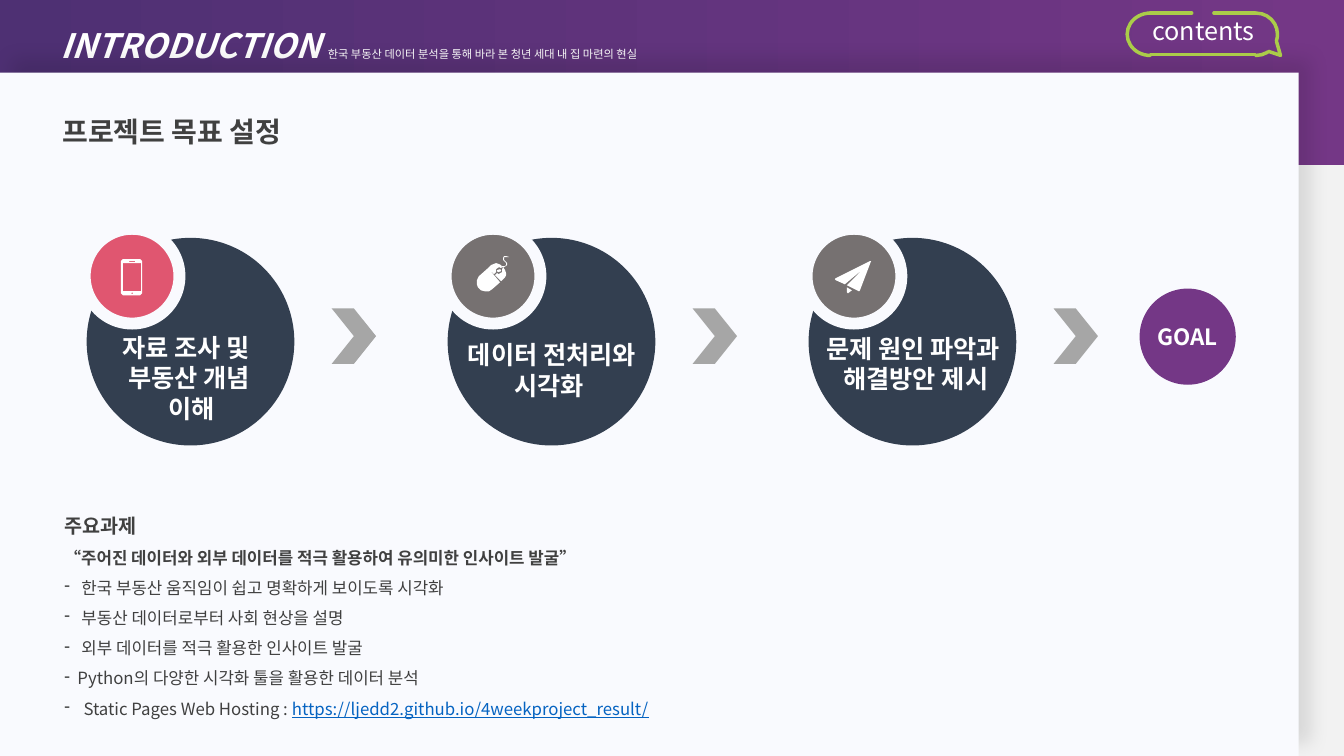
"""Build the project goal slide with its three-step process."""
from dataclasses import dataclass

import pptx
import pptx.dml.color
import pptx.enum.shapes
import pptx.enum.text
import pptx.oxml
import pptx.oxml.ns
import pptx.util
from lxml import etree

PX = 9144
MSO = pptx.enum.shapes.MSO_SHAPE
ALIGN = pptx.enum.text.PP_ALIGN
qn = pptx.oxml.ns.qn


@dataclass(frozen=True)
class Theme:
    font: str = "Noto Sans CJK KR"
    back: str = "F2F2F2"
    panel: str = "F9FAFE"
    indigo: str = "4E3073"
    purple: str = "743786"
    lime: str = "ABCC49"
    navy: str = "333F50"
    rose: str = "E05670"
    taupe: str = "767171"
    arrow: str = "A6A6A6"
    white: str = "FFFFFF"
    ink: str = "404040"
    link: str = "0563C1"
    title: int = 24
    heading: int = 20
    step: int = 18
    goal: int = 16
    subhead: int = 14
    body: int = 12
    note: int = 8


T = Theme()


@dataclass(frozen=True)
class Run:
    text: str
    size: int
    color: str = T.ink
    bold: bool = False
    italic: bool = False
    underline: bool = False


@dataclass(frozen=True)
class Para:
    runs: tuple[Run, ...]
    hang: int = 0


@dataclass(frozen=True)
class Step:
    lines: tuple[str, ...]
    text_left: int
    text_top: int
    dot: str
    icon: tuple[tuple[tuple[int, int], ...], ...]


PHONE = (
    ((38, 30), (55, 30), (57, 32), (57, 64), (55, 66), (38, 66), (36, 64), (36, 32)),
    ((38, 34), (56, 34), (56, 62), (38, 62)),
    ((44, 32), (50, 32), (50, 33), (44, 33)),
    ((47, 63), (48, 64), (47, 65), (46, 64)),
)
MOUSE = (
    ((42, 39), (54, 53), (46, 60), (43, 62), (39, 62), (35, 61), (32, 58), (31, 55),
     (31, 51), (33, 47)),
    ((57, 38), (59, 41), (60, 44), (60, 46), (59, 48), (57, 50), (55, 52), (49, 46),
     (51, 44), (53, 45), (54, 44), (56, 43), (56, 40)),
    ((50, 34), (53, 35), (55, 36), (56, 38), (55, 39), (53, 38), (50, 40), (50, 43),
     (48, 45), (42, 39), (45, 36)),
    ((54, 40), (55, 41), (55, 42), (52, 43), (51, 42), (51, 41)),
    ((63, 28), (60, 27), (58, 27), (57, 29), (57, 31), (60, 34), (60, 36), (59, 37),
     (56, 37), (56, 38), (58, 38), (61, 36), (61, 34), (58, 31), (58, 28), (60, 28)),
)
PLANE = (
    ((40, 58), (45, 61), (41, 64), (40, 63)),
    ((64, 32), (53, 61), (52, 62), (40, 56), (56, 40), (38, 55), (29, 51), (28, 50),
     (29, 49), (63, 32)),
)
STEPS = (
    Step(("자료 조사 및 ", "부동산 개념", " 이해"), 76, 325, T.rose, PHONE),
    Step(("데이터 전처리와", "시각화 "), 436, 332, T.taupe, MOUSE),
    Step(("문제 원인 파악과", " 해결방안 제시"), 794, 326, T.taupe, PLANE),
)
STEP_PITCH = 358
TASKS = (
    Para((Run("주요과제", T.subhead, bold=True),)),
    Para((Run("“주어진 데이터와 외부 데이터를 적극 활용하여 유의미한 인사이트 발굴”", T.body, bold=True),)),
    Para((Run("한국 부동산 움직임이 쉽고 명확하게 보이도록 시각화", T.body),), 17),
    Para((Run("부동산 데이터로부터 사회 현상을 설명", T.body),), 17),
    Para((Run("외부 데이터를 적극 활용한 인사이트 발굴", T.body),), 17),
    Para((Run("Python의 다양한 시각화 툴을 활용한 데이터 분석", T.body),), 13),
    Para((Run("Static Pages Web Hosting : ", T.body),
          Run("https://ljedd2.github.io/4weekproject_result/", T.body, T.link, underline=True)), 19),
)


def rgb(color: str) -> pptx.dml.color.RGBColor:
    return pptx.dml.color.RGBColor.from_string(color)


def paint(sp, fill: str | None = None, line: str | None = None, width: float = 1) -> None:
    sp.shadow.inherit = False
    if fill:
        sp.fill.solid()
        sp.fill.fore_color.rgb = rgb(fill)
    else:
        sp.fill.background()
    stroke(sp, line, width)


def stroke(sp, line: str | None, width: float) -> None:
    if line:
        sp.line.color.rgb = rgb(line)
        sp.line.width = pptx.util.Pt(width)
        sp.element.spPr.find(qn("a:ln")).set("cap", "rnd")
    else:
        sp.line.fill.background()


def add_shape(s, kind, box: tuple[int, ...], fill: str | None = None,
              line: str | None = None, width: float = 1, adj: tuple[float, ...] = ()):
    sp = s.shapes.add_shape(kind, *(v * PX for v in box))
    paint(sp, fill, line, width)
    for i, value in enumerate(adj):
        sp.adjustments[i] = value
    return sp


def add_outline(s, contours, left: int, top: int, closed: bool = True):
    moved = [[(left + x, top + y) for x, y in c] for c in contours]
    fb = s.shapes.build_freeform(*moved[0][0], scale=PX)
    for i, pts in enumerate(moved):
        if i:
            fb.move_to(*pts[0])
        fb.add_line_segments(pts[1:], close=closed)
    return fb.convert_to_shape()


def write(tf, paras: tuple[Para, ...], align=ALIGN.LEFT, spacing: float = 1.0) -> None:
    for i, para in enumerate(paras):
        p = tf.paragraphs[0] if i == 0 else tf.add_paragraph()
        p.alignment, p.line_spacing = align, spacing
        if para.hang:
            pPr = p._p.get_or_add_pPr()
            pPr.set("marL", str(para.hang * PX))
            pPr.set("indent", str(-para.hang * PX))
            etree.SubElement(pPr, qn("a:buChar")).set("char", "-")
        for run in para.runs:
            r = p.add_run()
            r.text = run.text
            fmt = {"name": T.font, "size": pptx.util.Pt(run.size), "bold": run.bold,
                   "italic": run.italic, "underline": run.underline}
            for key, value in fmt.items():
                setattr(r.font, key, value)
            r.font.color.rgb = rgb(run.color)
            etree.SubElement(r._r.get_or_add_rPr(), qn("a:ea")).set("typeface", T.font)


def add_text(s, box: tuple[int, ...], paras: tuple[Para, ...], align=ALIGN.LEFT,
             spacing: float = 1.0) -> None:
    tf = s.shapes.add_textbox(*(v * PX for v in box)).text_frame
    tf.word_wrap = True
    tf.auto_size = pptx.enum.text.MSO_AUTO_SIZE.SHAPE_TO_FIT_TEXT
    write(tf, paras, align, spacing)


def draw_frame(s) -> None:
    header = add_shape(s, MSO.RECTANGLE, (0, 0, 1333, 164), T.indigo)
    header.fill.gradient()
    header.fill.gradient_angle = 0
    for stop, color in zip(header.fill.gradient_stops, (T.indigo, T.purple)):
        stop.color.rgb = rgb(color)
    tf = header.text_frame
    tf.vertical_anchor = pptx.enum.text.MSO_ANCHOR.TOP
    write(tf, (Para((Run("INTRODUCTION ", T.title, T.white, bold=True, italic=True),
                     Run("한국 부동산 데이터 분석을 통해 바라 본 청년 세대 내 집 마련의 현실", T.note, T.white))),),
          spacing=1.5)
    tf.paragraphs[0]._p.get_or_add_pPr().set("marL", str(50 * PX))
    panel = add_shape(s, MSO.RECTANGLE, (0, 72, 1288, 678), T.panel)
    effects = panel.element.spPr.find(qn("a:effectLst"))
    shadow = etree.SubElement(effects, qn("a:outerShdw"), blurRad="165100", dist="165100",
                              dir="18900000", algn="bl", rotWithShape="0")
    black = etree.SubElement(shadow, qn("a:srgbClr"), val="000000")
    etree.SubElement(black, qn("a:alpha"), val="11000")


def draw_bubble(s) -> None:
    add_shape(s, MSO.LEFT_BRACKET, (1118, 13, 23, 42), None, T.lime, 2.5, (0.92,))
    for adj in ((97.02, 162.08), (52.96, 73.55)):
        arc = add_shape(s, MSO.ARC, (1225, 13, 42, 42), None, T.lime, 2.5, adj)
        arc.element.spPr.get_or_add_xfrm().set("flipH", "1")
    for x1, x2, y in ((1141, 1245, 54), (1141, 1182, 13), (1204, 1245, 13)):
        cn = s.shapes.add_connector(pptx.enum.shapes.MSO_CONNECTOR.STRAIGHT,
                                    x1 * PX, y * PX, x2 * PX, y * PX)
        stroke(cn, T.lime, 2.5)
        etree.SubElement(cn.element.spPr, qn("a:effectLst"))
    paint(add_outline(s, (((8, 0), (12, 14), (0, 10)),), 1258, 41, False), None, T.lime, 2.5)
    add_text(s, (1131, 10, 125, 40), (Para((Run("contents", T.step, T.white),)),), ALIGN.CENTER)


def draw_steps(s) -> None:
    for i, step in enumerate(STEPS):
        x = i * STEP_PITCH
        add_shape(s, MSO.OVAL, (86 + x, 236, 206, 206), T.navy)
        add_shape(s, MSO.OVAL, (84 + x, 227, 94, 94), step.dot, T.panel, 8.5)
        add_shape(s, MSO.CHEVRON, (329 + x, 306, 44, 55), T.arrow)
        paint(add_outline(s, step.icon, 84 + x, 227), T.white)
        lines = tuple(Para((Run(t, T.step, T.white, bold=True),)) for t in step.lines)
        add_text(s, (step.text_left, step.text_top, 223, 10 + 30 * len(lines)), lines, ALIGN.CENTER)
    goal = add_shape(s, MSO.OVAL, (1131, 287, 94, 94), T.purple, T.purple)
    goal.text_frame.word_wrap = False
    goal.text_frame.vertical_anchor = pptx.enum.text.MSO_ANCHOR.MIDDLE
    write(goal.text_frame, (Para((Run("GOAL", T.goal, T.white, bold=True),)),), ALIGN.CENTER)


def main() -> None:
    prs = pptx.Presentation()
    prs.slide_width, prs.slide_height = 1333 * PX, 750 * PX
    s = prs.slides.add_slide(prs.slide_layouts[6])
    s.background.fill.solid()
    s.background.fill.fore_color.rgb = rgb(T.back)
    draw_frame(s)
    draw_bubble(s)
    draw_steps(s)
    add_text(s, (52, 92, 1194, 54), (Para((Run("프로젝트 목표 설정", T.heading, bold=True),)),), spacing=1.5)
    add_text(s, (54, 493, 1194, 223), TASKS, spacing=1.5)
    prs.save("out.pptx")


if __name__ == "__main__":
    main()
